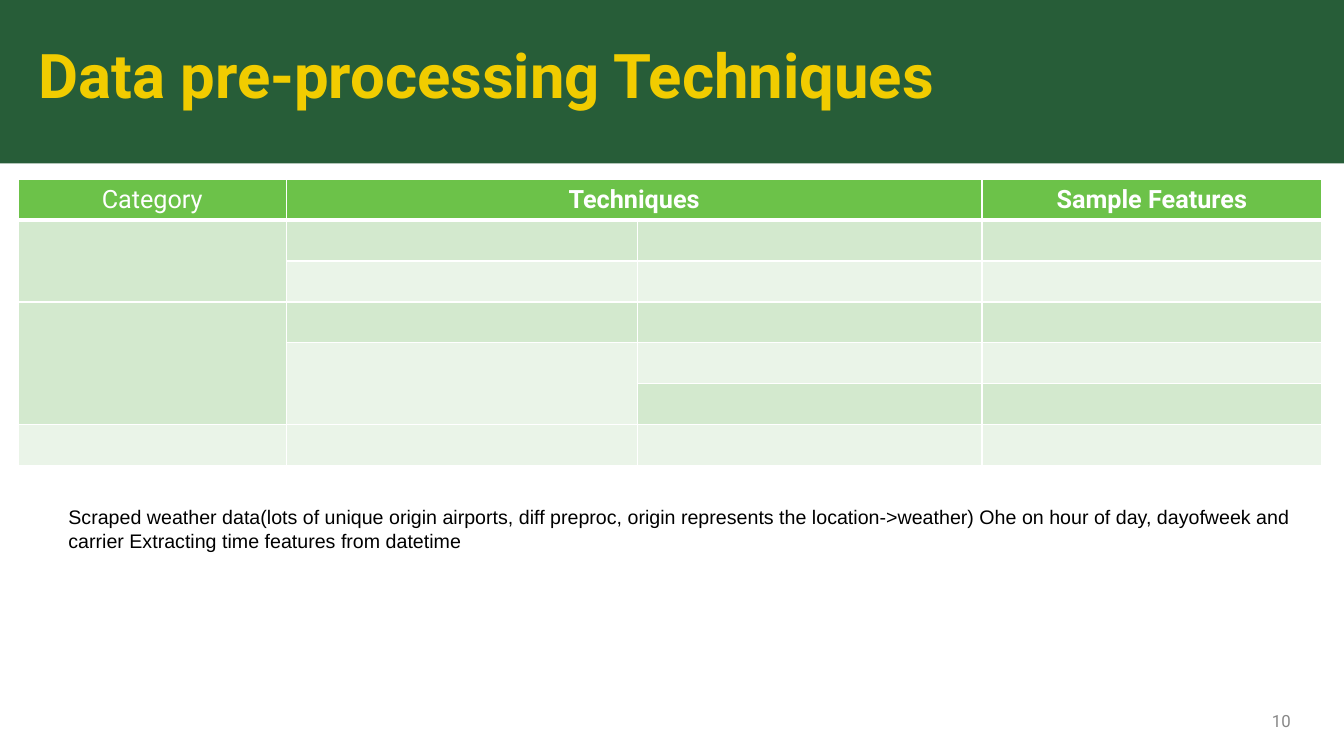
"""Builds the slide on data pre-processing techniques."""
import pptx
import pptx.dml.color
import pptx.enum.shapes
import pptx.enum.text
import pptx.oxml.ns
import pptx.util
from lxml import etree

TITLE = "Data pre-processing Techniques"
HEADERS = [(0, "Category", False), (1, "Techniques", True), (3, "Sample Features", True)]
MERGES = [((0, 1), (0, 2)), ((1, 0), (2, 0)), ((3, 0), (5, 0)), ((4, 1), (5, 1))]
NOTE = ("Scraped weather data(lots of unique origin airports, diff preproc, "
        "origin represents the location->weather) Ohe on hour of day, dayofweek and "
        "carrier Extracting time features from datetime")
PAGE = "10"

COLORS = {"band": "275D38", "title": "F1CC00", "header": "6CC249", "odd": "D3E9CE",
          "even": "EAF4E8", "white": "FFFFFF", "black": "000000", "page": "888888"}
WIDTH, HEIGHT = 13.33, 7.5
COLS = [2.66, 3.48, 3.42, 3.37]
ROWS, ROW_H = 7, 0.405
TABLE_LEFT, TABLE_TOP = 0.18, 1.78
ALIGN = pptx.enum.text.PP_ALIGN
MIDDLE = pptx.enum.text.MSO_ANCHOR.MIDDLE


def inches(*lengths):
    return [pptx.util.Inches(v) for v in lengths]


def rgb(name):
    return pptx.dml.color.RGBColor.from_string(COLORS[name])


def write(tf, text, size, color, font="Roboto", bold=False, align=ALIGN.LEFT):
    tf.text = text
    p = tf.paragraphs[0]
    p.alignment = align
    r = p.runs[0]
    r.font.size = pptx.util.Pt(size)
    r.font.name = font
    r.font.bold = bold
    r.font.color.rgb = rgb(color)
    return p


def add_borders(cell, bottom):
    tc_pr = cell._tc.get_or_add_tcPr()
    qn = pptx.oxml.ns.qn
    for side, width in (("L", 1), ("R", 1), ("T", 1), ("B", bottom)):
        ln = etree.SubElement(tc_pr, qn(f"a:ln{side}"), w=str(pptx.util.Pt(width)))
        fill = etree.SubElement(ln, qn("a:solidFill"))
        etree.SubElement(fill, qn("a:srgbClr"), val=COLORS["white"])


def add_title(slide):
    band = slide.shapes.add_shape(pptx.enum.shapes.MSO_SHAPE.RECTANGLE,
                                  *inches(0, 0, WIDTH, 1.62))
    band.shadow.inherit = False
    band.fill.solid()
    band.fill.fore_color.rgb = rgb("band")
    band.line.fill.background()
    title = slide.shapes.title
    title._element.addprevious(band._element)
    title.left, title.top, title.width, title.height = inches(0.38, 0.45, 12.52, 0.83)
    tf = title.text_frame
    tf.margin_left = tf.margin_right = tf.margin_top = tf.margin_bottom = 0
    tf.vertical_anchor = pptx.enum.text.MSO_ANCHOR.TOP
    tf.auto_size = pptx.enum.text.MSO_AUTO_SIZE.NONE
    write(tf, TITLE, 44, "title", bold=True).line_spacing = 0.9


def add_table(slide):
    frame = slide.shapes.add_table(ROWS, len(COLS), *inches(
        TABLE_LEFT, TABLE_TOP, sum(COLS), ROWS * ROW_H))
    table = frame.table
    for column, width in zip(table.columns, COLS):
        column.width = pptx.util.Inches(width)
    for i, row in enumerate(table.rows):
        row.height = pptx.util.Inches(ROW_H)
        color = "header" if i == 0 else "odd" if i % 2 else "even"
        for cell in row.cells:
            add_borders(cell, 3 if i == 0 else 1)
            cell.fill.solid()
            cell.fill.fore_color.rgb = rgb(color)
            cell.vertical_anchor = MIDDLE
    for first, last in MERGES:
        table.cell(*first).merge(table.cell(*last))
    for col, text, bold in HEADERS:
        write(table.cell(0, col).text_frame, text, 18, "white", bold=bold, align=ALIGN.CENTER)


def add_text(slide, box, *args, **kwargs):
    tf = slide.shapes.add_textbox(*inches(*box)).text_frame
    tf.word_wrap = True
    write(tf, *args, **kwargs)
    return tf


def main():
    prs = pptx.Presentation()
    prs.slide_width, prs.slide_height = inches(WIDTH, HEIGHT)
    slide = prs.slides.add_slide(prs.slide_layouts[5])
    add_title(slide)
    add_table(slide)
    add_text(slide, (0.58, 4.96, 12.53, 0.57), NOTE, 14, "black", font="Arial")
    tf = add_text(slide, (9.65, 6.95, 3.25, 0.4), PAGE, 12, "page", align=ALIGN.RIGHT)
    tf.vertical_anchor = MIDDLE
    prs.save("out.pptx")


if __name__ == "__main__":
    main()
